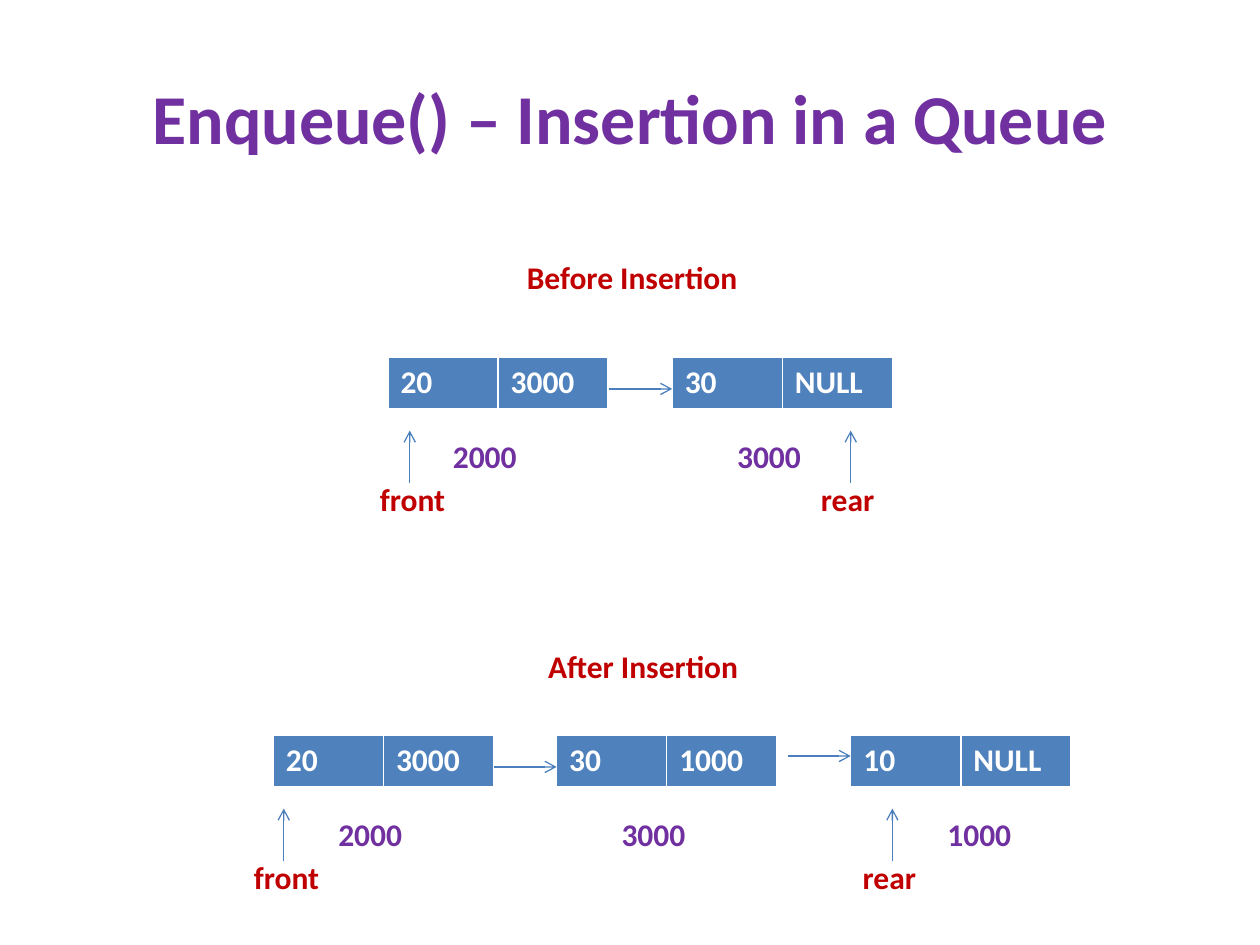
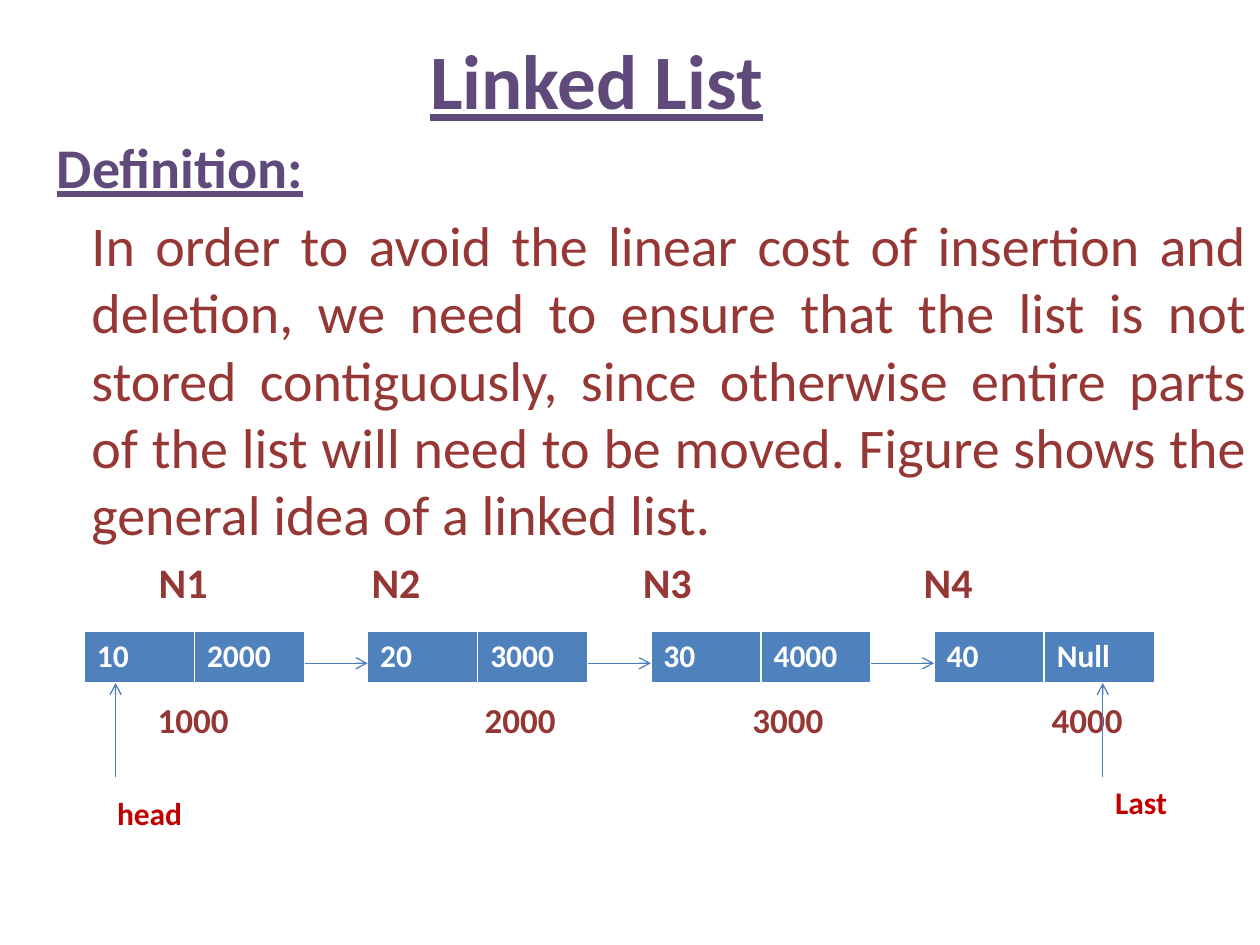
import dataclasses

import pptx
import pptx.dml.color
import pptx.enum.shapes
import pptx.enum.text
import pptx.oxml.ns
import pptx.presentation
import pptx.shapes.base
import pptx.slide
import pptx.text.text
import pptx.util
from lxml import etree

Cm = pptx.util.Cm
Pt = pptx.util.Pt
PP_ALIGN = pptx.enum.text.PP_ALIGN

FONT = "Calibri"
COLORS = {
    "heading": "7030A0",
    "definition": "604A7B",
    "prose": "953735",
    "pointer": "C00000",
    "node": "4F81BD",
    "node_text": "FFFFFF",
    "arrow": "4B7EBC",
}
NODE_WIDTH, NODE_HEIGHT = 4.44, 1.03
NODE_PITCH = 5.71
LINK_LENGTH = 1.27
LABEL_WIDTH, LABEL_HEIGHT = 2.34, 1.02


@dataclasses.dataclass(frozen=True)
class Node:
    left: float
    data: str
    link: str
    address: str = ""
    address_offset: float = 1.06
    incoming_drop: float = 0.64


@dataclasses.dataclass(frozen=True)
class Pointer:
    """A named arrow up to a node; drops are measured from the node's top."""

    name: str
    x: float
    tip_drop: float = 1.48
    tail_drop: float = 2.54
    name_shift: float = -0.85
    name_drop: float = 2.35


@dataclasses.dataclass(frozen=True)
class Chain:
    top: float
    nodes: tuple[Node, ...]
    pointers: tuple[Pointer, ...]


@dataclasses.dataclass(frozen=True)
class Caption:
    text: str
    left: float
    top: float


@dataclasses.dataclass(frozen=True)
class LabelRow:
    """Labels on one line, each with its own left edge."""

    top: float
    size: int
    labels: tuple[tuple[str, float], ...]


@dataclasses.dataclass(frozen=True)
class BodyLine:
    text: str
    color: str
    indent: float
    bold: bool = False
    underline: bool = False
    align: PP_ALIGN = PP_ALIGN.LEFT


CAPTIONS = (
    Caption("Before Insertion", 10.37, 5.08),
    Caption("After Insertion", 10.8, 12.91),
)
QUEUES = (
    Chain(
        7.2,
        (Node(7.82, "20", "3000", "2000"), Node(13.55, "30", "NULL", "3000")),
        (Pointer("front", 8.26), Pointer("rear", 17.15)),
    ),
    Chain(
        14.82,
        (
            Node(5.51, "20", "3000", "2000"),
            Node(11.22, "30", "1000", "3000"),
            Node(17.15, "10", "NULL", "1000", 1.7, 0.42),
        ),
        (Pointer("front", 5.72), Pointer("rear", 17.99)),
    ),
)

LIST_VALUES = (("10", "2000"), ("20", "3000"), ("30", "4000"), ("40", "Null"))
LINKED_LIST = Chain(
    12.73,
    tuple(
        Node(1.7 + index * NODE_PITCH, data, link)
        for index, (data, link) in enumerate(LIST_VALUES)
    ),
    (
        Pointer("head", 2.33, 1.04, 2.94, -0.22, 3.15),
        Pointer("Last", 22.23, 1.04, 2.94, 0, 2.94),
    ),
)
LIST_LABELS = (
    LabelRow(11.09, 24, (("N1", 2.95), ("N2", 7.24), ("N3", 12.71), ("N4", 18.37))),
    LabelRow(
        13.96, 20,
        (("1000", 2.93), ("2000", 9.52), ("3000", 14.92), ("4000", 20.95)),
    ),
)
DEFINITION = (
    BodyLine("Definition:", "definition", 0.25, bold=True, underline=True),
    BodyLine(
        "In order to avoid the linear cost of insertion and deletion, we need to "
        "ensure that the list is not stored contiguously, since otherwise entire "
        "parts of the list will need to be moved. Figure shows the general idea of "
        "a linked list.",
        "prose", 0.95, align=PP_ALIGN.JUSTIFY,
    ),
)


def rgb(name: str) -> pptx.dml.color.RGBColor:
    return pptx.dml.color.RGBColor.from_string(COLORS[name])


def format_runs(
    paragraph: pptx.text.text._Paragraph,
    size: int,
    color: str,
    bold: bool = True,
    underline: bool = False,
) -> None:
    for run in paragraph.runs:
        run.font.name = FONT
        run.font.size = Pt(size)
        run.font.bold = bold
        run.font.underline = underline
        run.font.color.rgb = rgb(color)


def place(
    shape: pptx.shapes.base.BaseShape,
    left: float, top: float, width: float, height: float,
) -> None:
    shape.left, shape.top = Cm(left), Cm(top)
    shape.width, shape.height = Cm(width), Cm(height)


def set_title(
    slide: pptx.slide.Slide, text: str, left: float, top: float,
    size: int, color: str, underline: bool = False,
) -> None:
    title = slide.shapes.title
    place(title, left, top, 22.86, 3.18)
    frame = title.text_frame
    frame.text = text
    frame.auto_size = pptx.enum.text.MSO_AUTO_SIZE.NONE
    frame.vertical_anchor = pptx.enum.text.MSO_ANCHOR.MIDDLE
    frame.paragraphs[0].alignment = PP_ALIGN.CENTER
    format_runs(frame.paragraphs[0], size, color, underline=underline)


def add_label(
    slide: pptx.slide.Slide, text: str, left: float, top: float,
    color: str, width: float = LABEL_WIDTH, size: int = 18,
) -> None:
    label = slide.shapes.add_textbox(Cm(left), Cm(top), Cm(width), Cm(LABEL_HEIGHT))
    label.text_frame.word_wrap = True
    label.text_frame.text = text
    format_runs(label.text_frame.paragraphs[0], size, color)


def add_arrow(
    slide: pptx.slide.Slide, x1: float, y1: float, x2: float, y2: float
) -> None:
    arrow = slide.shapes.add_connector(
        pptx.enum.shapes.MSO_CONNECTOR.STRAIGHT, Cm(x1), Cm(y1), Cm(x2), Cm(y2)
    )
    arrow.line.color.rgb = rgb("arrow")
    arrow.line.width = Pt(0.75)
    qn = pptx.oxml.ns.qn
    etree.SubElement(arrow.line._get_or_add_ln(), qn("a:tailEnd"), type="arrow")
    etree.SubElement(arrow._element.spPr, qn("a:effectLst"))


def add_node(slide: pptx.slide.Slide, node: Node, top: float) -> None:
    table = slide.shapes.add_table(
        1, 2, Cm(node.left), Cm(top), Cm(NODE_WIDTH), Cm(NODE_HEIGHT)
    ).table
    table.horz_banding = False
    for cell, value in zip(table.rows[0].cells, (node.data, node.link)):
        cell.text = value
        cell.fill.solid()
        cell.fill.fore_color.rgb = rgb("node")
        format_runs(cell.text_frame.paragraphs[0], 18, "node_text")


def add_chain(slide: pptx.slide.Slide, chain: Chain) -> None:
    """Draw the linked nodes with their addresses and named pointers."""
    for index, node in enumerate(chain.nodes):
        add_node(slide, node, chain.top)
        if index:
            link_y = chain.top + node.incoming_drop
            add_arrow(slide, node.left - LINK_LENGTH, link_y, node.left, link_y)
        if node.address:
            add_label(
                slide, node.address, node.left + node.address_offset,
                chain.top + 1.48, "heading",
            )
    for pointer in chain.pointers:
        add_arrow(
            slide, pointer.x, chain.top + pointer.tail_drop,
            pointer.x, chain.top + pointer.tip_drop,
        )
        add_label(
            slide, pointer.name, pointer.x + pointer.name_shift,
            chain.top + pointer.name_drop, "pointer",
        )


def write_body_line(paragraph: pptx.text.text._Paragraph, line: BodyLine) -> None:
    paragraph.text = line.text
    paragraph.alignment = line.align
    properties = paragraph._p.get_or_add_pPr()
    properties.set("marL", str(Cm(line.indent)))
    properties.set("indent", "0")
    etree.SubElement(properties, pptx.oxml.ns.qn("a:buNone"))
    format_runs(paragraph, 32, line.color, line.bold, line.underline)


def build_enqueue_slide(deck: pptx.presentation.Presentation) -> None:
    slide = deck.slides.add_slide(deck.slide_layouts.get_by_name("Title Only"))
    set_title(slide, "Enqueue() – Insertion in a Queue", 1.27, 0.76, 40, "heading")
    for caption in CAPTIONS:
        add_label(slide, caption.text, caption.left, caption.top, "pointer", 5.72)
    for queue in QUEUES:
        add_chain(slide, queue)


def build_linked_list_slide(deck: pptx.presentation.Presentation) -> None:
    slide = deck.slides.add_slide(deck.slide_layouts.get_by_name("Title and Content"))
    set_title(slide, "Linked List", 0.6, 0, 44, "definition", underline=True)
    body = slide.placeholders[1]
    place(body, 0.64, 2.54, 24.76, 8.5)
    frame = body.text_frame
    frame.auto_size = pptx.enum.text.MSO_AUTO_SIZE.NONE
    for index, line in enumerate(DEFINITION):
        write_body_line(frame.add_paragraph() if index else frame.paragraphs[0], line)
    frame.paragraphs[0].space_before = Pt(0)
    for row in LIST_LABELS:
        for text, left in row.labels:
            add_label(slide, text, left, row.top, "prose", size=row.size)
    add_chain(slide, LINKED_LIST)


def main() -> None:
    deck = pptx.Presentation()
    deck.slide_width, deck.slide_height = Cm(25.4), Cm(19.05)
    build_enqueue_slide(deck)
    build_linked_list_slide(deck)
    deck.save("out.pptx")


if __name__ == "__main__":
    main()
